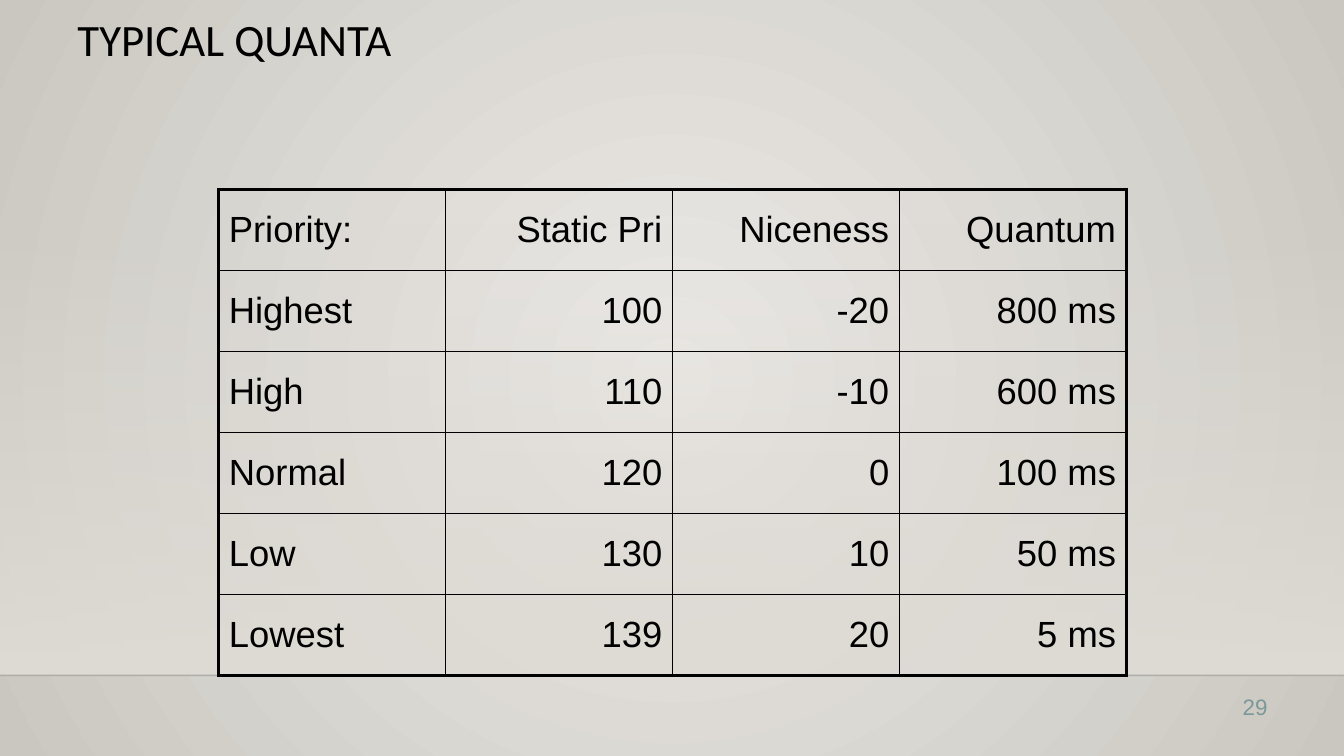
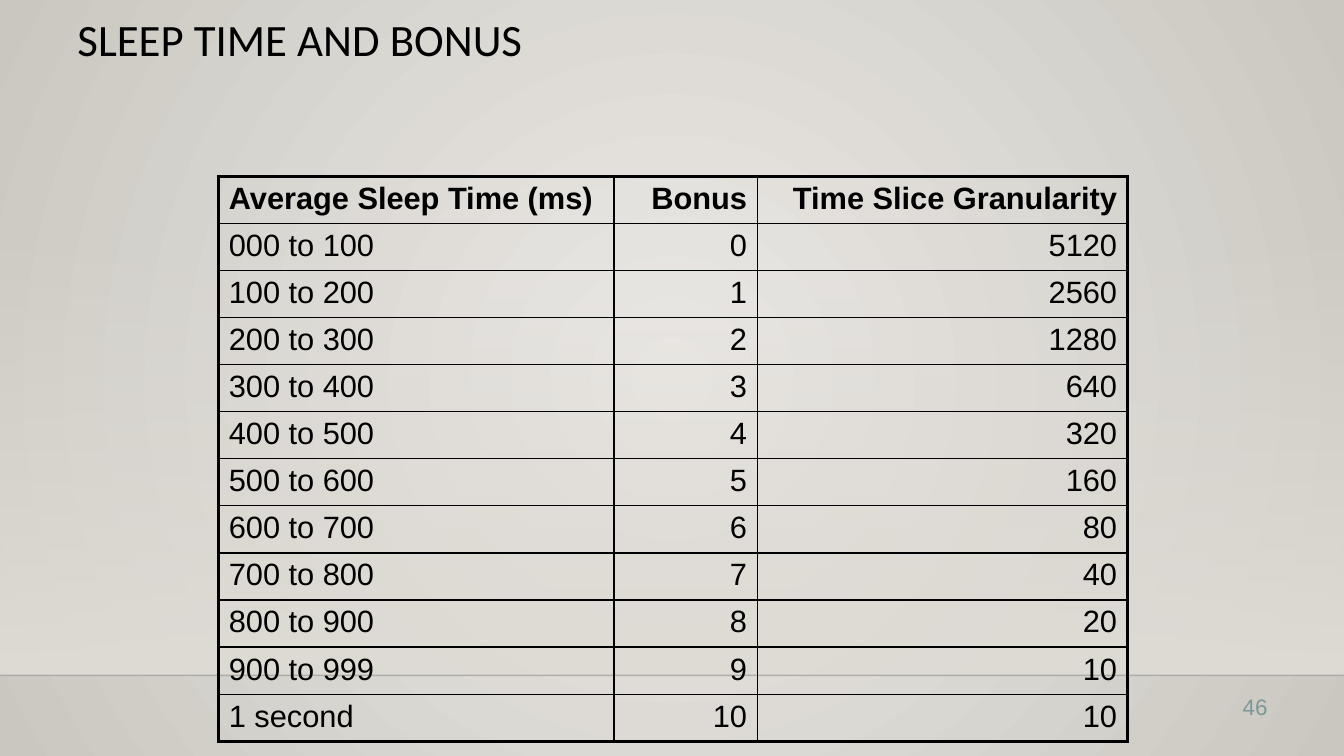
from lxml.etree import SubElement
from pptx import Presentation
from pptx.dml.color import RGBColor
from pptx.enum.shapes import MSO_CONNECTOR, MSO_SHAPE
from pptx.enum.text import MSO_ANCHOR, PP_ALIGN
from pptx.oxml import parse_xml
from pptx.oxml.ns import nsdecls, qn
from pptx.util import Inches, Pt

COLORS = {
    "center": "ECEAE7",
    "edge": "CAC7C1",
    "band": "DFDBD5",
    "horizon": "000001",
    "ink": "000000",
    "number": "7B9899",
}
WIDTH, HEIGHT = Inches(13.33), Inches(7.5)
HORIZON = Inches(6.7)
OUTER, INNER = 2.25, 1

QUANTA = [
    ("Priority:", "Static Pri", "Niceness", "Quantum"),
    ("Highest", "100", "-20", "800 ms"),
    ("High", "110", "-10", "600 ms"),
    ("Normal", "120", "0", "100 ms"),
    ("Low", "130", "10", "50 ms"),
    ("Lowest", "139", "20", "5 ms"),
]
SLEEP_TIMES = [f"{n}00 to {n + 1}00" for n in range(9)] + ["900 to 999", "1 second"]
GRANULARITIES = [5120 // 2**n for n in range(10)] + [10]
BONUSES = [("Average Sleep Time (ms)", "Bonus", "Time Slice Granularity")] + [
    (sleep, str(bonus), str(granularity))
    for bonus, (sleep, granularity) in enumerate(zip(SLEEP_TIMES, GRANULARITIES))
]


def rgb(name):
    """Look up a palette colour."""
    return RGBColor.from_string(COLORS[name])


def set_opacity(color, percent):
    """Give a colour element an opacity."""
    SubElement(color, qn("a:alpha")).set("val", str(percent * 1000))


def set_gradient(fill, start, end):
    """Turn a fill into a two-colour gradient."""
    fill.gradient()
    for stop, name in zip(fill.gradient_stops, (start, end)):
        stop.color.rgb = rgb(name)


def style_background(master):
    """Light the backdrop from its centre."""
    set_gradient(master.background.fill, "center", "edge")
    gradient = master.element.xpath(".//p:bg//a:gradFill")[0]
    glow = parse_xml(
        f'<a:path {nsdecls("a")} path="circle">'
        '<a:fillToRect l="50000" t="50000" r="50000" b="50000"/></a:path>'
    )
    gradient.replace(gradient.find(qn("a:lin")), glow)


def add_horizon(slide):
    """Draw the fading band and the line that closes it."""
    top = Inches(2.21)
    band = slide.shapes.add_shape(MSO_SHAPE.RECTANGLE, 0, top, WIDTH, HORIZON - top)
    band.shadow.inherit = False
    band.line.fill.background()
    set_gradient(band.fill, "band", "band")
    band.fill.gradient_angle = 270
    set_opacity(band.element.xpath(".//a:gs//a:srgbClr")[0], 0)

    horizon = slide.shapes.add_connector(MSO_CONNECTOR.STRAIGHT, 0, HORIZON, WIDTH, HORIZON)
    horizon.line.color.rgb = rgb("horizon")
    horizon.line.width = Pt(1)
    set_opacity(horizon.element.xpath(".//a:ln//a:srgbClr")[0], 20)
    SubElement(horizon.element.spPr, qn("a:effectLst"))


def write(frame, text, size, font="Arial", color="ink", align=PP_ALIGN.LEFT, bold=False):
    """Put one styled run into a text frame and return its paragraph."""
    paragraph = frame.paragraphs[0]
    paragraph.alignment = align
    run = paragraph.add_run()
    run.text = text
    run.font.size = Pt(size)
    run.font.name = font
    run.font.bold = bold
    run.font.color.rgb = rgb(color)
    return paragraph


def add_frame(slide, *box):
    """Add a wrapping text box and return its text frame."""
    frame = slide.shapes.add_textbox(*map(Inches, box)).text_frame
    frame.word_wrap = True
    return frame


def set_borders(cell, widths):
    """Rule the left, right, top and bottom sides of a cell."""
    properties = cell._tc.get_or_add_tcPr()
    for position, (side, width) in enumerate(zip("LRTB", widths)):
        border = parse_xml(
            f'<a:ln{side} {nsdecls("a")} w="{Pt(width)}"><a:solidFill>'
            f'<a:srgbClr val="{COLORS["ink"]}"/></a:solidFill></a:ln{side}>'
        )
        properties.insert(position, border)


def add_grid(slide, rows, top, height, columns, size, anchor, bold_header):
    """Add a ruled table with a heavy frame and right-aligned values."""
    last_row, last_column = len(rows) - 1, len(columns) - 1
    table = slide.shapes.add_table(
        len(rows), len(columns), Inches(2.17), Inches(top), Inches(sum(columns)), Inches(height)
    ).table
    table.first_row = table.horz_banding = False
    for column, width in zip(table.columns, columns):
        column.width = Inches(width)
    for r, values in enumerate(rows):
        for c, value in enumerate(values):
            cell = table.cell(r, c)
            cell.fill.background()
            cell.vertical_anchor = anchor
            align = PP_ALIGN.RIGHT if c else PP_ALIGN.LEFT
            write(cell.text_frame, value, size, align=align, bold=bold_header and r == 0)
            on_frame = (c == 0, c == last_column, r == 0, r == last_row)
            set_borders(cell, [OUTER if outer else INNER for outer in on_frame])


def add_table_slide(prs, title, number, **grid):
    """Build one slide with title, table and page number."""
    slide = prs.slides.add_slide(prs.slide_layouts[6])
    add_horizon(slide)
    heading = write(add_frame(slide, 0.67, 0.13, 11, 1.42), title, 32, font="Calibri")
    heading.line_spacing = 0.9
    add_grid(slide, **grid)
    write(add_frame(slide, 9.56, 6.83, 3.11, 0.5), number, 16, color="number", align=PP_ALIGN.RIGHT)


def main():
    """Build and save the presentation."""
    prs = Presentation()
    prs.slide_width, prs.slide_height = WIDTH, HEIGHT
    style_background(prs.slide_master)
    add_table_slide(
        prs, "TYPICAL QUANTA", "29", rows=QUANTA, top=1.88, height=4.82,
        columns=[2.25] * 4, size=26, anchor=MSO_ANCHOR.MIDDLE, bold_header=False,
    )
    add_table_slide(
        prs, "SLEEP TIME AND BONUS", "46", rows=BONUSES, top=1.75, height=5.6,
        columns=[3.92, 1.42, 3.67], size=22, anchor=MSO_ANCHOR.TOP, bold_header=True,
    )
    prs.save("out.pptx")


if __name__ == "__main__":
    main()
